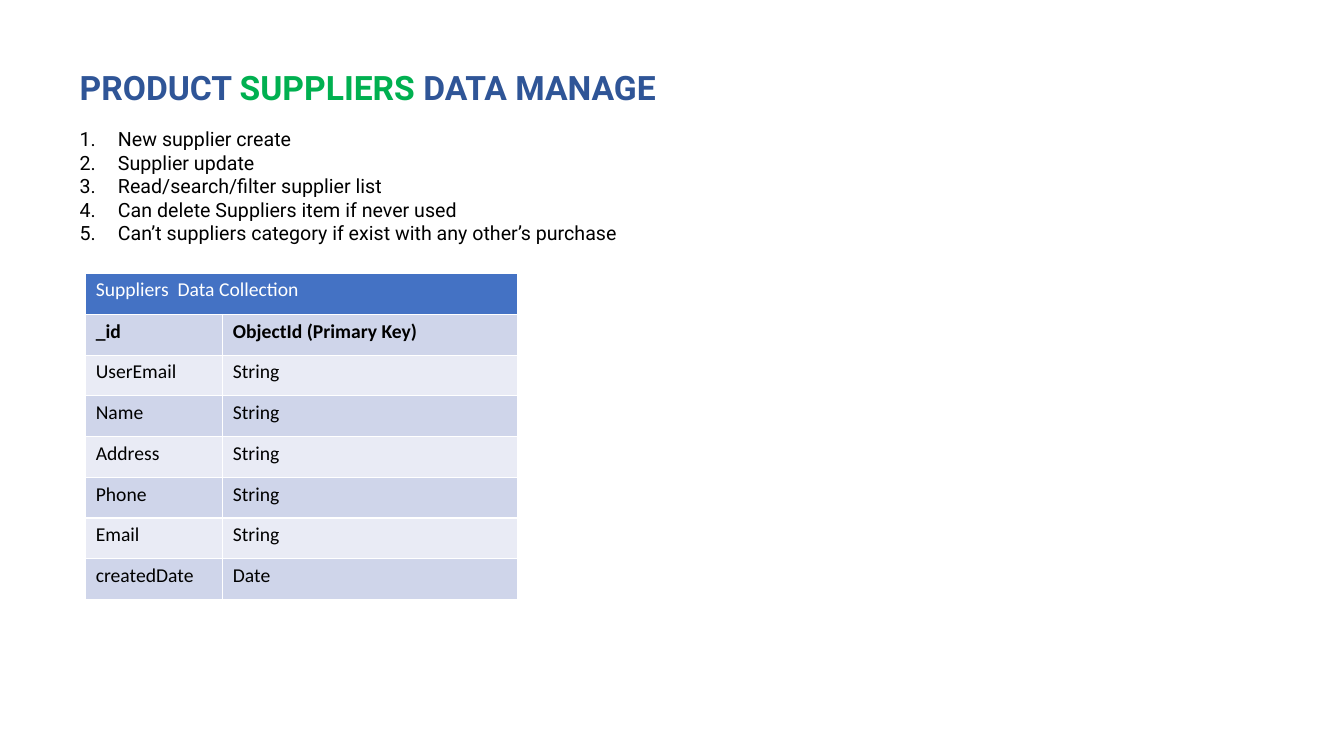
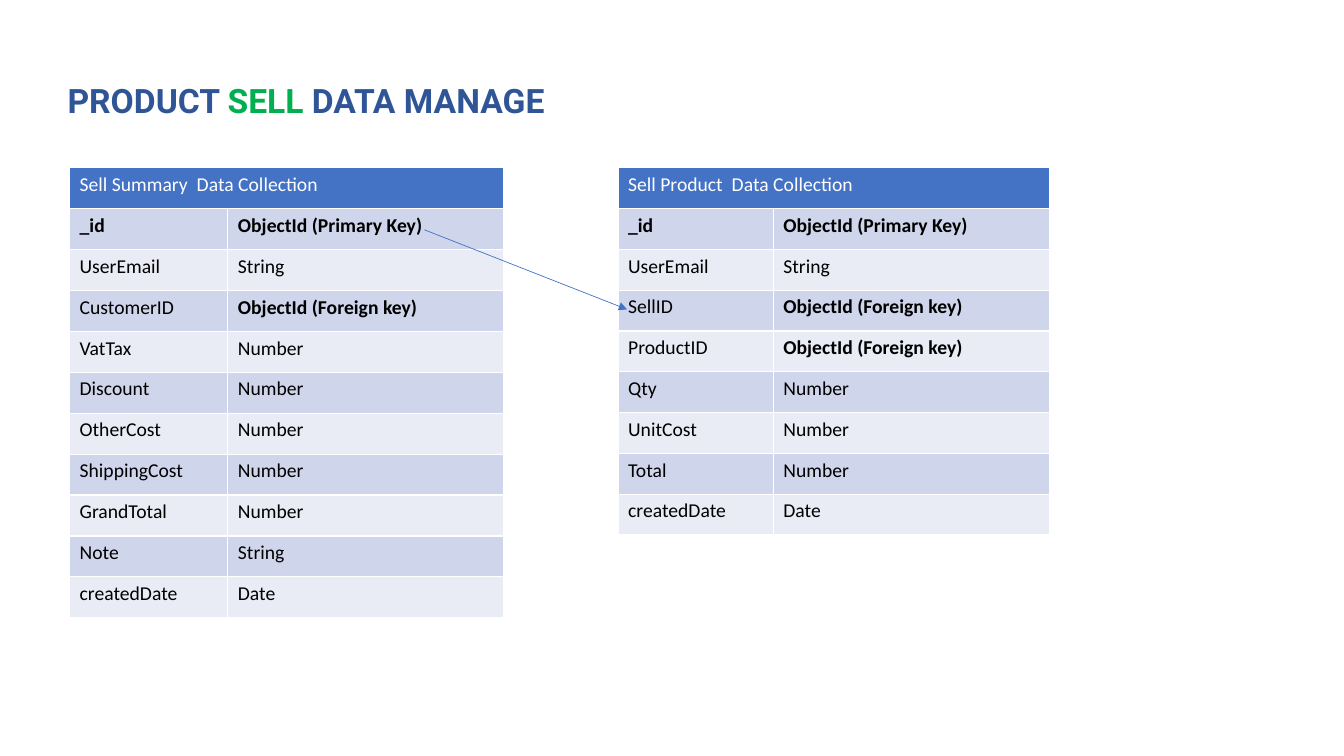
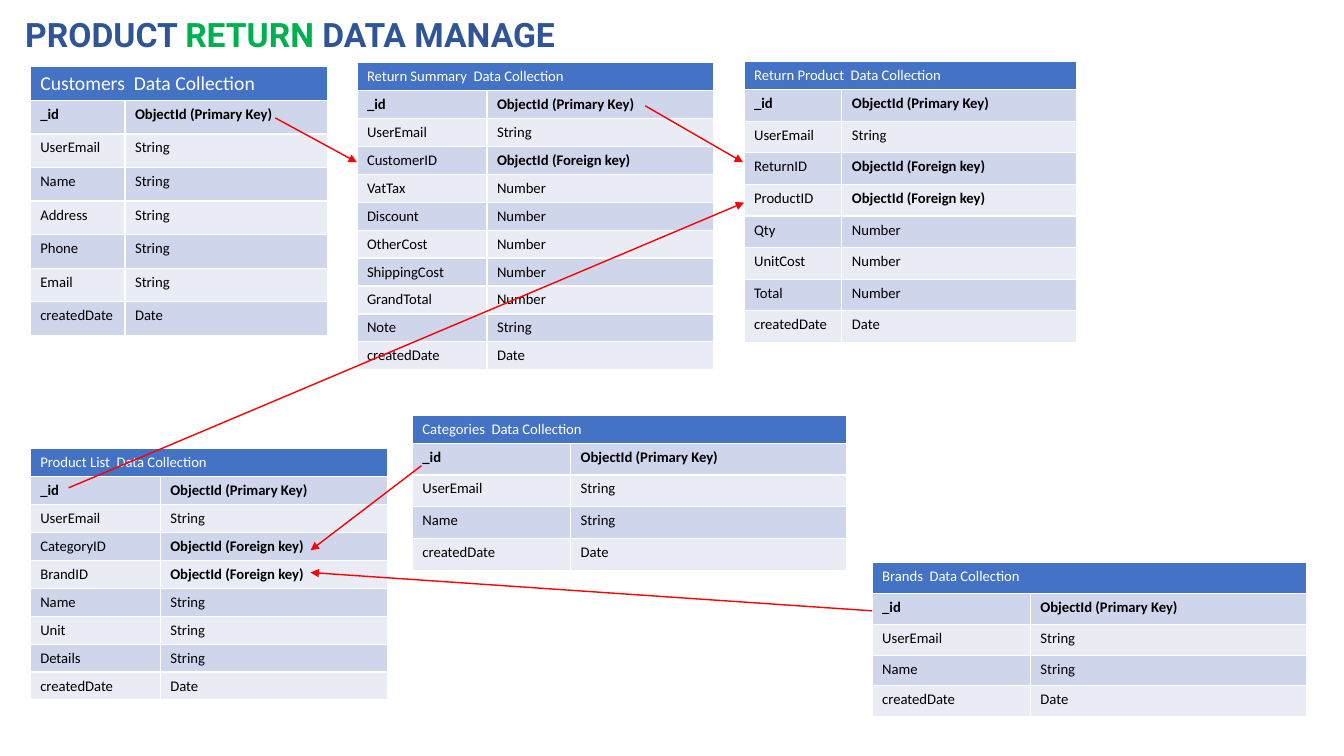
from pptx import Presentation
from pptx.dml.color import RGBColor
from pptx.enum.shapes import MSO_CONNECTOR
from pptx.enum.text import MSO_ANCHOR, MSO_AUTO_SIZE, PP_ALIGN
from pptx.oxml.ns import qn
from pptx.util import Inches, Pt
from lxml import etree

LEFT, TOP = PP_ALIGN.LEFT, MSO_ANCHOR.TOP
FIXED = MSO_AUTO_SIZE.NONE
LINE = MSO_CONNECTOR.STRAIGHT


class Theme:
    navy = RGBColor.from_string("2F5597")
    green = RGBColor.from_string("00B050")
    blue = RGBColor.from_string("4472C4")
    red = RGBColor.from_string("FF0000")
    white = RGBColor.from_string("FFFFFF")
    black = RGBColor.from_string("000000")
    bands = [RGBColor.from_string("CFD5EA"), RGBColor.from_string("E9EBF5")]
    head, body = "Roboto", "Calibri"
    title, text, small = 24, 14, 10.5


def style(run, font, size, color, bold=False):
    run.font.name = font
    run.font.size = Pt(size)
    run.font.color.rgb = color
    run.font.bold = bold


def place(shape, left, top, width, height):
    shape.left, shape.top = Inches(left), Inches(top)
    shape.width, shape.height = Inches(width), Inches(height)
    frame = shape.text_frame
    frame.word_wrap = True
    frame.auto_size = FIXED
    frame.vertical_anchor = TOP
    return frame


# Field types
KEY, REF = "ObjectId (Primary Key)", "ObjectId (Foreign key)"
STR, NUM, DATE = "String", "Number", "Date"

# Fields between the shared first two rows and the last row
person = [("Name", STR), ("Address", STR), ("Phone", STR), ("Email", STR)]
totals = [("CustomerID", REF), ("VatTax", NUM), ("Discount", NUM),
          ("OtherCost", NUM), ("ShippingCost", NUM), ("GrandTotal", NUM),
          ("Note", STR)]
items = [("ProductID", REF), ("Qty", NUM), ("UnitCost", NUM), ("Total", NUM)]
goods = [("CategoryID", REF), ("BrandID", REF), ("Name", STR),
         ("Unit", STR), ("Details", STR)]
label = [("Name", STR)]

steps = ["New supplier create", "Supplier update",
         "Read/search/filter supplier list",
         "Can delete Suppliers item if never used",
         "Can’t suppliers category if exist with any other’s purchase"]

# Table: name, left, top, height, head height, columns, head size, size, fields
# Arrow: start x, start y, end x, end y
big, small = Theme.text, Theme.small
pages = [
    dict(topic="SUPPLIERS", title=(0.69, 0.61, 6.11, 0.5), steps=steps,
         tables=[("Suppliers", 0.85, 2.71, 3.24, 0.41, (1.36, 2.92),
                  big, big, person)],
         arrows=[], ink=Theme.blue, weight=0.5),
    dict(topic="SELL", title=(0.57, 0.74, 5.12, 0.5), steps=[],
         tables=[("Sell Summary", 0.69, 1.66, 4.47, 0.41, (1.57, 2.74),
                  big, big, totals),
                 ("Sell Product", 6.13, 1.66, 3.65, 0.41, (1.54, 2.74),
                  big, big, [("SellID", REF)] + items)],
         arrows=[(4.21, 2.28, 6.22, 3.07)], ink=Theme.blue, weight=0.5),
    dict(topic="RETURN", title=(0.15, 0.09, 5.65, 0.5), steps=[],
         tables=[("Customers", 0.3, 0.66, 2.66, 0.33, (0.94, 2.01),
                  big, small, person),
                 ("Return Summary", 3.54, 0.62, 3.02, 0.27, (1.29, 2.25),
                  small, small, totals),
                 ("Return Product", 7.38, 0.61, 2.79, 0.28, (0.97, 2.33),
                  small, small, [("ReturnID", REF)] + items),
                 ("Product List", 0.3, 4.45, 2.44, 0.27, (1.29, 2.25),
                  small, small, goods),
                 ("Categories", 4.09, 4.12, 1.53, 0.27, (1.57, 2.74),
                  small, small, label),
                 ("Brands", 8.65, 5.58, 1.53, 0.31, (1.57, 2.74),
                  small, small, label)],
         arrows=[(2.73, 1.17, 3.54, 1.61), (6.4, 1.05, 7.37, 1.61),
                 (0.68, 4.84, 7.38, 2.01), (8.65, 6.06, 3.08, 5.68),
                 (4.18, 4.62, 3.08, 5.46)],
         ink=Theme.red, weight=1),
]

deck = Presentation()
deck.slide_width, deck.slide_height = Inches(13.33), Inches(7.5)

for page in pages:
    # Layout 1 has a title and a body, layout 5 only a title
    slide = deck.slides.add_slide(deck.slide_layouts[1 if page["steps"] else 5])
    shapes = slide.shapes

    # Title with the topic in green
    line = place(shapes.title, *page["title"]).paragraphs[0]
    line.alignment = LEFT
    for words, color in [("PRODUCT ", Theme.navy), (page["topic"], Theme.green),
                         (" DATA MANAGE", Theme.navy)]:
        run = line.add_run()
        run.text = words
        style(run, Theme.head, Theme.title, color, True)

    # Numbered list
    if page["steps"]:
        frame = place(slide.placeholders[1], 0.69, 1.21, 6.11, 1.28)
        frame.text = "\n".join(page["steps"])
        for line in frame.paragraphs:
            line.space_before = Pt(0)
            style(line.runs[0], Theme.head, Theme.text, Theme.black)
            props = line._p.get_or_add_pPr()
            props.set("marL", str(Inches(0.38)))
            props.set("indent", str(Inches(-0.38)))
            etree.SubElement(props, qn("a:buFont"), typeface=Theme.head)
            etree.SubElement(props, qn("a:buAutoNum"), type="arabicPeriod")

    # Data collections
    for name, left, top, high, cap, cols, lead, size, fields in page["tables"]:
        rows = [("_id", KEY), ("UserEmail", STR), *fields, ("createdDate", DATE)]
        grid = shapes.add_table(len(rows) + 1, 2, Inches(left), Inches(top),
                                Inches(sum(cols)), Inches(high)).table
        for col, width in zip(grid.columns, cols):
            col.width = Inches(width)
        for num, row in enumerate(grid.rows):
            row.height = Inches((high - cap) / len(rows) if num else cap)

        cell = grid.cell(0, 0)
        cell.merge(grid.cell(0, 1))
        cell.text_frame.text = f"{name}  Data Collection"
        cell.fill.solid()
        cell.fill.fore_color.rgb = Theme.blue
        style(cell.text_frame.paragraphs[0].runs[0], Theme.body, lead, Theme.white)

        for num, row in enumerate(rows):
            for col, words in enumerate(row):
                cell = grid.cell(num + 1, col)
                cell.text_frame.text = words
                cell.fill.solid()
                cell.fill.fore_color.rgb = Theme.bands[num % 2]
                style(cell.text_frame.paragraphs[0].runs[0], Theme.body, size,
                      Theme.black, words in ("_id", KEY, REF))

    # Arrows between keys
    for ends in page["arrows"]:
        arrow = shapes.add_connector(LINE, *[Inches(end) for end in ends])
        arrow.line.color.rgb = page["ink"]
        arrow.line.width = Pt(page["weight"])
        etree.SubElement(arrow.line._get_or_add_ln(), qn("a:tailEnd"),
                         type="triangle")
        etree.SubElement(arrow._element.spPr, qn("a:effectLst"))

deck.save("out.pptx")
